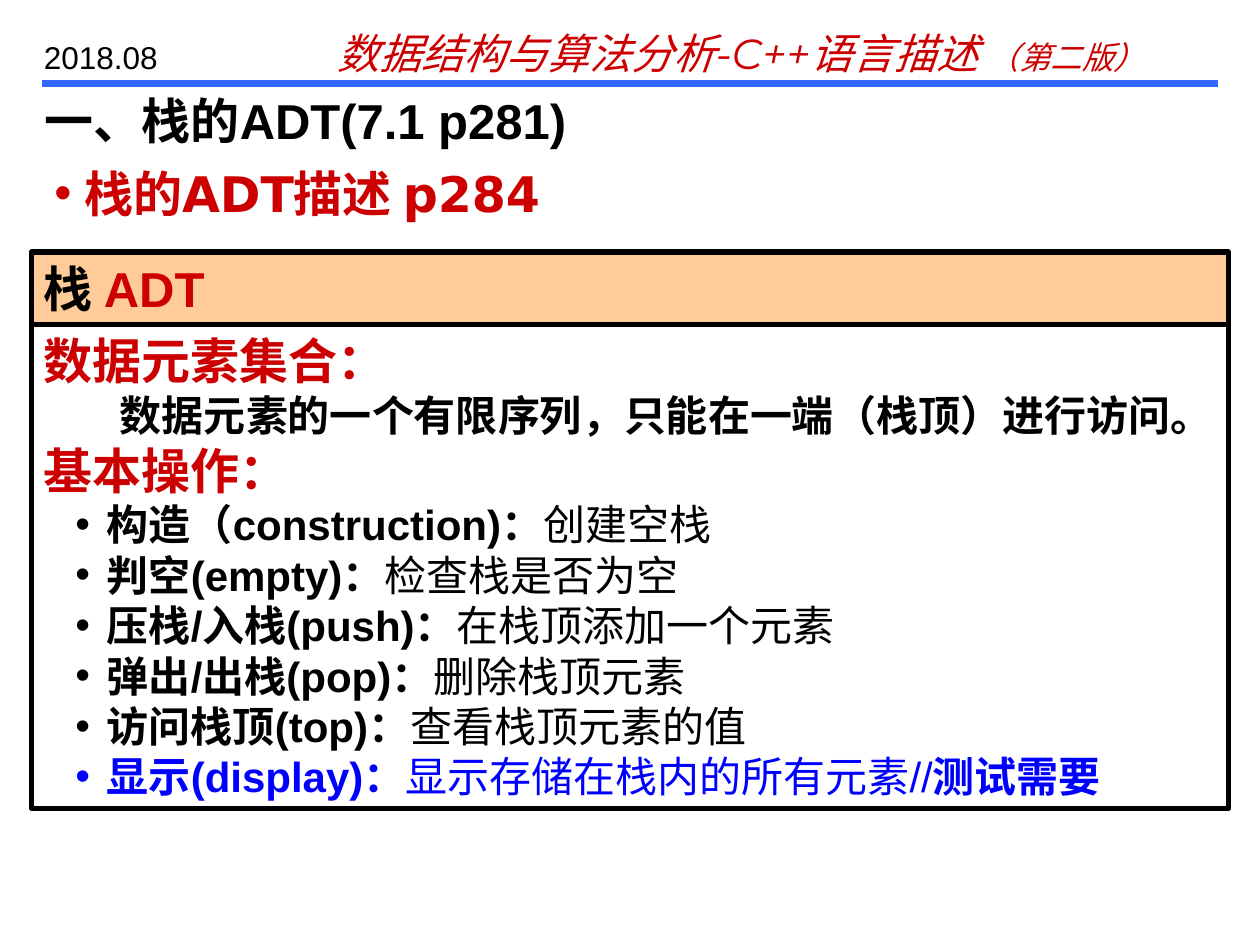
from dataclasses import dataclass

import pptx
import pptx.dml.color
import pptx.enum.shapes
import pptx.enum.text
import pptx.oxml.ns
import pptx.oxml.xmlchemy
import pptx.util

Pt = pptx.util.Pt
RGB = pptx.dml.color.RGBColor
qn = pptx.oxml.ns.qn
OxmlElement = pptx.oxml.xmlchemy.OxmlElement

RED = RGB(0xCC, 0x00, 0x00)
BLACK = RGB(0x00, 0x00, 0x00)
BLUE = RGB(0x00, 0x00, 0xFF)
RULE_BLUE = RGB(0x33, 0x66, 0xFF)
PEACH = RGB(0xFF, 0xCC, 0x99)


@dataclass
class Run:
    text: str
    size: float = 24
    color: RGB = BLACK
    bold: bool = True
    italic: bool = False
    font: str = "Arial"


@dataclass
class Para:
    runs: list[Run]
    margin: float = 0
    indent: float = 0
    bullet: bool = False


@dataclass
class Box:
    left: float
    top: float
    width: float
    height: float


def add_bullet(p, color: RGB) -> None:
    pPr = p._p.get_or_add_pPr()
    clr = OxmlElement("a:buClr")
    srgb = OxmlElement("a:srgbClr")
    srgb.set("val", str(color))
    clr.append(srgb)
    font = OxmlElement("a:buFont")
    font.set("typeface", "Arial")
    char = OxmlElement("a:buChar")
    char.set("char", "•")
    pPr.extend([clr, font, char])


def write_text(sp, paras: list[Para]) -> None:
    tf = sp.text_frame
    tf.word_wrap = True
    tf.auto_size = pptx.enum.text.MSO_AUTO_SIZE.NONE
    tf.vertical_anchor = pptx.enum.text.MSO_ANCHOR.TOP
    tf.margin_left = tf.margin_right = Pt(7.2)
    tf.margin_top = tf.margin_bottom = Pt(3.6)
    for i, para in enumerate(paras):
        p = tf.add_paragraph() if i else tf.paragraphs[0]
        p.alignment = pptx.enum.text.PP_ALIGN.LEFT
        pPr = p._p.get_or_add_pPr()
        pPr.set("marL", str(Pt(para.margin)))
        pPr.set("indent", str(Pt(para.indent)))
        if para.bullet:
            add_bullet(p, para.runs[0].color)
        for run in para.runs:
            r = p.add_run()
            r.text = run.text
            r.font.name = run.font
            r.font.size = Pt(run.size)
            r.font.bold = run.bold
            r.font.italic = run.italic
            r.font.color.rgb = run.color


def place(sp, box: Box) -> None:
    sp.left, sp.top = Pt(box.left), Pt(box.top)
    sp.width, sp.height = Pt(box.width), Pt(box.height)


def add_text(slide, box: Box, paras: list[Para]) -> None:
    sp = slide.shapes.add_textbox(0, 0, 0, 0)
    place(sp, box)
    write_text(sp, paras)


def add_panel(slide, box: Box, paras: list[Para], fill: RGB | None = None) -> None:
    sp = slide.shapes.add_shape(pptx.enum.shapes.MSO_SHAPE.RECTANGLE, 0, 0, 0, 0)
    place(sp, box)
    sp.shadow.inherit = False
    if fill is None:
        sp.fill.background()
    else:
        sp.fill.solid()
        sp.fill.fore_color.rgb = fill
    sp.line.color.rgb = BLACK
    sp.line.width = Pt(3)
    write_text(sp, paras)


def add_rule(slide, left: float, right: float, y: float) -> None:
    line = slide.shapes.add_connector(
        pptx.enum.shapes.MSO_CONNECTOR.STRAIGHT, Pt(left), Pt(y), Pt(right), Pt(y))
    line.line.color.rgb = RULE_BLUE
    line.line.width = Pt(4)
    line._element.find(qn("p:spPr")).append(OxmlElement("a:effectLst"))


def operation(name: str, meaning: str, color: RGB = BLACK, remark: str = "") -> Para:
    runs = [Run(name, color=color), Run(meaning, color=color, bold=False)]
    if remark:
        runs.append(Run(remark, color=color))
    return Para(runs, margin=36, indent=-18, bullet=True)


ADT_BODY = [
    Para([Run("数据元素集合：", 28, RED)]),
    Para([Run("数据元素的一个有限序列，只能在一端（栈顶）进行访问。")], indent=43.5),
    Para([Run("基本操作：", 28, RED)]),
    operation("构造（construction)：", "创建空栈"),
    operation("判空(empty)：", "检查栈是否为空"),
    operation("压栈/入栈(push)：", "在栈顶添加一个元素"),
    operation("弹出/出栈(pop)：", "删除栈顶元素"),
    operation("访问栈顶(top)：", "查看栈顶元素的值"),
    operation("显示(display)：", "显示存储在栈内的所有元素//", BLUE, "测试需要"),
]


def main() -> None:
    prs = pptx.Presentation()
    prs.slide_width, prs.slide_height = Pt(720), Pt(540)
    slide = prs.slides.add_slide(prs.slide_layouts[5])

    add_rule(slide, 24, 696, 48)
    add_text(slide, Box(186, 12, 504, 36), [Para([
        Run("数据结构与算法分析-C++语言描述 ", 24, RED, False, True, "Montserrat"),
        Run("（第二版）", 18, RED, False, True, "Montserrat"),
    ])])
    add_text(slide, Box(18, 18, 102, 29), [Para([Run("2018.08", 18, bold=False)])])

    title = slide.shapes.title
    place(title, Box(18, 48, 702, 36))
    write_text(title, [Para([Run("一、栈的ADT(7.1 p281)", 28)])])

    add_text(slide, Box(24, 90, 696, 41), [Para(
        [Run("栈的ADT描述 p284", 28, RED, font="DejaVu Sans")],
        margin=17, indent=-17, bullet=True)])
    add_panel(slide, Box(18, 144, 684, 41.5),
              [Para([Run("栈 ", 28), Run("ADT", 28, RED)])], PEACH)
    add_panel(slide, Box(18, 185.5, 684, 276.5), ADT_BODY)

    prs.save("out.pptx")


if __name__ == "__main__":
    main()
